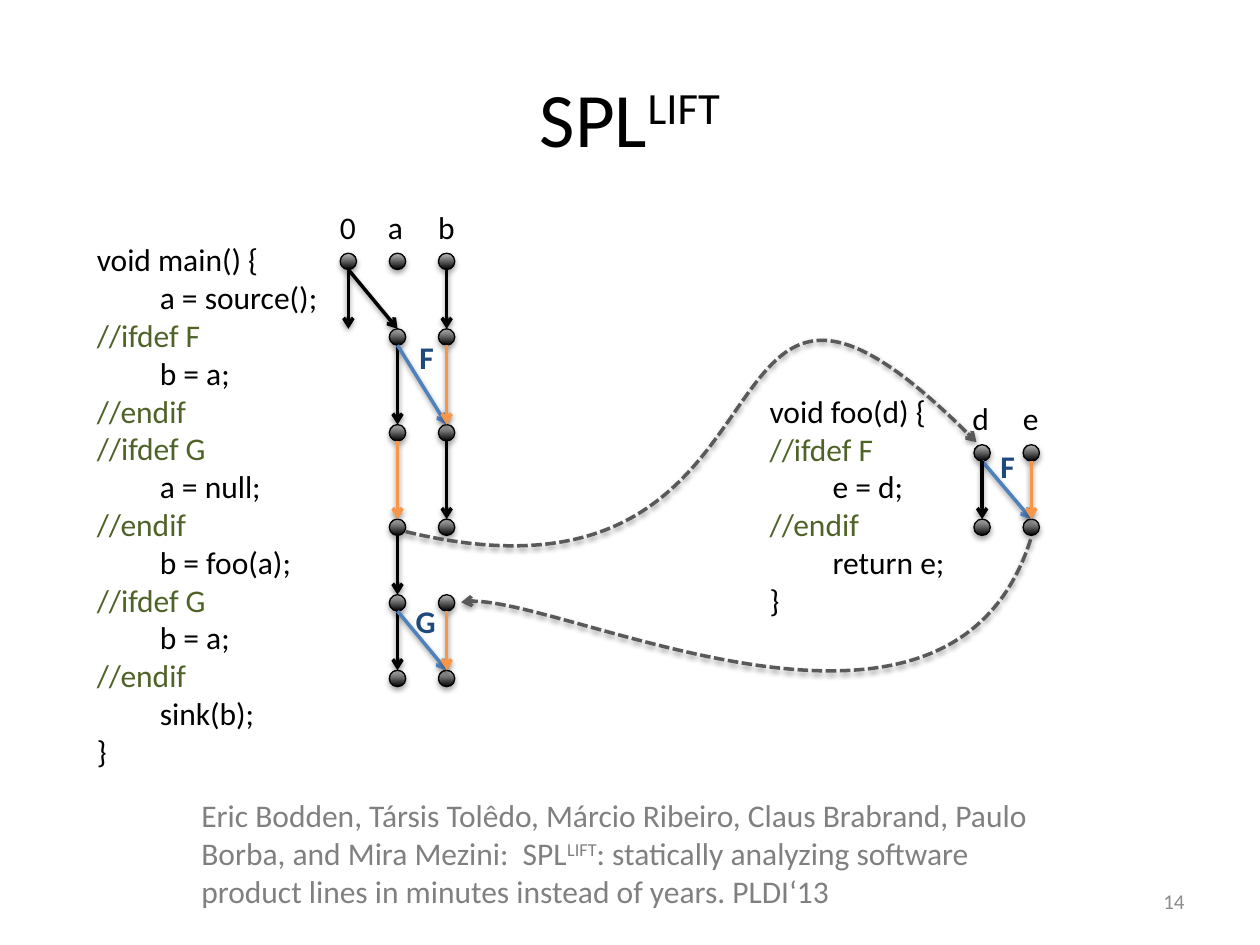
from pptx import Presentation
from pptx import util as u
from pptx.dml.color import RGBColor
from pptx.enum import dml, shapes, text
from pptx.oxml.ns import qn
from lxml import etree

COLORS = {
    "black": "000000", "comment": "4F6228", "feature": "1F497D",
    "enabled": "4F81BD", "disabled": "F79646", "call": "595959",
    "dot_light": "BDBDBD", "number": "8C8C8C", "citation": "808080",
}
DOT = 0.13

MAIN_CODE = [
    "void main() {", "\ta = source();", "//ifdef F", "\tb = a;", "//endif",
    "//ifdef G", "\ta = null;", "//endif", "\tb = foo(a);", "//ifdef G",
    "\tb = a;", "//endif", "\tsink(b);", "}",
]
FOO_CODE = ["void foo(d) {", "//ifdef F", "\te = d;", "//endif", "\treturn e;", "}"]

MAIN_GRAPH = {
    "columns": [2.7, 3.09, 3.48],
    "rows": [2.01, 2.61, 3.37, 4.12, 4.72, 5.32],
    "dots": [(0, 0)] + [(column, row) for column in (1, 2) for row in range(6)],
    "edges": [
        (0, 0, 0, "black"), (0, 1, 0, "black"), (2, 2, 0, "black"),
        (1, 1, 1, "black"), (1, 2, 1, "enabled"), (2, 2, 1, "disabled"),
        (1, 1, 2, "disabled"), (2, 2, 2, "black"), (1, 1, 3, "black"),
        (1, 1, 4, "black"), (1, 2, 4, "enabled"), (2, 2, 4, "disabled"),
    ],
}
FOO_GRAPH = {
    "columns": [7.73, 8.12],
    "rows": [3.53, 4.12],
    "dots": [(column, row) for column in (0, 1) for row in (0, 1)],
    "edges": [(0, 1, 0, "enabled"), (0, 0, 0, "black"), (1, 1, 0, "disabled")],
}
FACTS = [
    ("0", 2.6, 1.6, 0.33), ("a", 2.98, 1.6, 0.32), ("b", 3.38, 1.6, 0.33),
    ("d", 7.62, 3.12, 0.33), ("e", 8.02, 3.12, 0.33),
]
FEATURES = [("F", 3.23, 2.63, 0.32), ("G", 3.2, 4.73, 0.36), ("F", 7.84, 3.5, 0.32)]
CALLS = [
    ((3.22, 2.7, 4.53, 1.63), [(3.22, 4.22), (6.57, 5.03), (5.33, 1.06), (7.75, 3.51)]),
    ((3.66, 4.28, 4.52, 1.02), [(8.18, 4.28), (7.53, 6.32), (4.3, 4.64), (3.66, 4.78)]),
]


class FlowSlide:
    """Draws code, flow graphs and labels on one slide in a shared style."""

    def __init__(self, slide, font="Calibri", size=18):
        self.slide, self.font, self.size = slide, font, size

    def color(self, name):
        return RGBColor.from_string(COLORS[name])

    def node(self, parent, tag, **attributes):
        child = etree.SubElement(parent, qn(tag))
        for key, value in attributes.items():
            child.set(key, str(value))
        return child

    def shadow(self, shape, alpha, distance):
        effects = self.node(shape._element.spPr, "a:effectLst")
        outer = self.node(effects, "a:outerShdw", blurRad=u.Pt(3.1), dist=u.Pt(distance),
                          dir=90 * 60000, rotWithShape=0)
        black = self.node(outer, "a:srgbClr", val=COLORS["black"])
        self.node(black, "a:alpha", val=alpha * 1000)

    def arrow_line(self, shape, color, dash=None):
        shape.line.color.rgb = self.color(color)
        shape.line.width = u.Pt(2)
        if dash:
            shape.line.dash_style = dash
        self.node(shape.line._get_or_add_ln(), "a:tailEnd", type="arrow")
        self.shadow(shape, 38, 1.6)

    def box(self, left, top, width, height, wrap=True, grow=False, middle=False):
        frame = self.slide.shapes.add_textbox(*map(u.Inches, (left, top, width, height))).text_frame
        frame.word_wrap = wrap
        if grow:
            frame.auto_size = text.MSO_AUTO_SIZE.SHAPE_TO_FIT_TEXT
        if middle:
            frame.vertical_anchor = text.MSO_ANCHOR.MIDDLE
        return frame

    def run(self, paragraph, words, color="black", size=None, bold=False, raised=False):
        run = paragraph.add_run()
        run.text = words
        run.font.name = self.font
        run.font.size = u.Pt(size or self.size)
        run.font.color.rgb = self.color(color)
        if bold:
            run.font.bold = True
        if raised:
            run._r.get_or_add_rPr().set("baseline", "30000")

    def code(self, lines, *place):
        frame = self.box(*place, grow=True)
        for index, line in enumerate(lines):
            paragraph = frame.add_paragraph() if index else frame.paragraphs[0]
            if line.startswith("\t"):
                tabs = self.node(paragraph._p.get_or_add_pPr(), "a:tabLst")
                self.node(tabs, "a:tab", pos=u.Inches(0.5), algn="l")
            self.run(paragraph, line, "comment" if line.startswith("//") else "black")

    def label(self, words, left, top, width, color="black", bold=False):
        frame = self.box(left, top, width, 0.4, wrap=False, grow=True)
        self.run(frame.paragraphs[0], words, color, bold=bold)

    def dot(self, left, top):
        dot = self.slide.shapes.add_shape(
            shapes.MSO_SHAPE.OVAL, *map(u.Inches, (left, top, DOT, DOT)))
        dot.fill.gradient()
        dot.fill.gradient_angle = 90
        for stop, name in zip(dot.fill.gradient_stops, ("black", "dot_light")):
            stop.color.rgb = self.color(name)
        dot.line.color.rgb = self.color("black")
        dot.line.width = u.Pt(0.75)
        self.shadow(dot, 35, 1.8)

    def edge(self, start, end, color):
        edge = self.slide.shapes.add_connector(
            shapes.MSO_CONNECTOR.STRAIGHT, *map(u.Inches, (*start, *end)))
        self.arrow_line(edge, color)

    def graph(self, columns, rows, dots, edges):
        for column, row in dots:
            self.dot(columns[column], rows[row])
        centers = [left + DOT / 2 for left in columns]
        for source, target, row, color in edges:
            self.edge((centers[source], rows[row] + DOT), (centers[target], rows[row + 1]), color)

    def call(self, bounds, points):
        left, top, width, height = map(u.Inches, bounds)
        builder = self.slide.shapes.build_freeform(left, top)
        builder.add_line_segments([(left + width, top + height)], close=False)
        curve = builder.convert_to_shape()
        outline = next(curve._element.iter(qn("a:path")))
        for segment in list(outline):
            outline.remove(segment)
        move = self.node(outline, "a:moveTo")
        bend = self.node(outline, "a:cubicBezTo")
        for index, (x, y) in enumerate(points):
            self.node(bend if index else move, "a:pt", x=u.Inches(x) - left, y=u.Inches(y) - top)
        curve.fill.background()
        self.arrow_line(curve, "call", dml.MSO_LINE.SQUARE_DOT)

    def title(self, base, raised):
        paragraph = self.box(0.5, 0.3, 9, 1.25, middle=True).paragraphs[0]
        paragraph.alignment = text.PP_ALIGN.CENTER
        self.run(paragraph, base, size=44)
        self.run(paragraph, raised, size=44, raised=True)

    def number(self, words):
        paragraph = self.box(7.17, 6.95, 2.33, 0.4, middle=True).paragraphs[0]
        paragraph.alignment = text.PP_ALIGN.RIGHT
        self.run(paragraph, words, "number", size=12)

    def citation(self, before, raised, after):
        paragraph = self.box(1.5, 6.27, 7, 1.31).paragraphs[0]
        self.run(paragraph, before, "citation")
        self.run(paragraph, raised, "citation", raised=True)
        self.run(paragraph, after, "citation")


def main():
    deck = Presentation()
    deck.slide_width, deck.slide_height = u.Inches(10), u.Inches(7.5)
    flow = FlowSlide(deck.slides.add_slide(deck.slide_layouts[6]))
    flow.title("SPL", "LIFT")
    flow.code(MAIN_CODE, 0.67, 1.86, 2.16, 4.34)
    flow.code(FOO_CODE, 6.01, 3.06, 1.8, 1.92)
    flow.graph(**MAIN_GRAPH)
    flow.graph(**FOO_GRAPH)
    for fact in FACTS:
        flow.label(*fact)
    for call in CALLS:
        flow.call(*call)
    for feature in FEATURES:
        flow.label(*feature, color="feature", bold=True)
    flow.citation(
        "Eric Bodden, Társis Tolêdo, Márcio Ribeiro, Claus Brabrand, Paulo Borba, "
        "and Mira Mezini:  SPL", "LIFT",
        ": statically analyzing software product lines in minutes instead of years. PLDI‘13")
    flow.number("14")
    deck.save("out.pptx")


if __name__ == "__main__":
    main()
